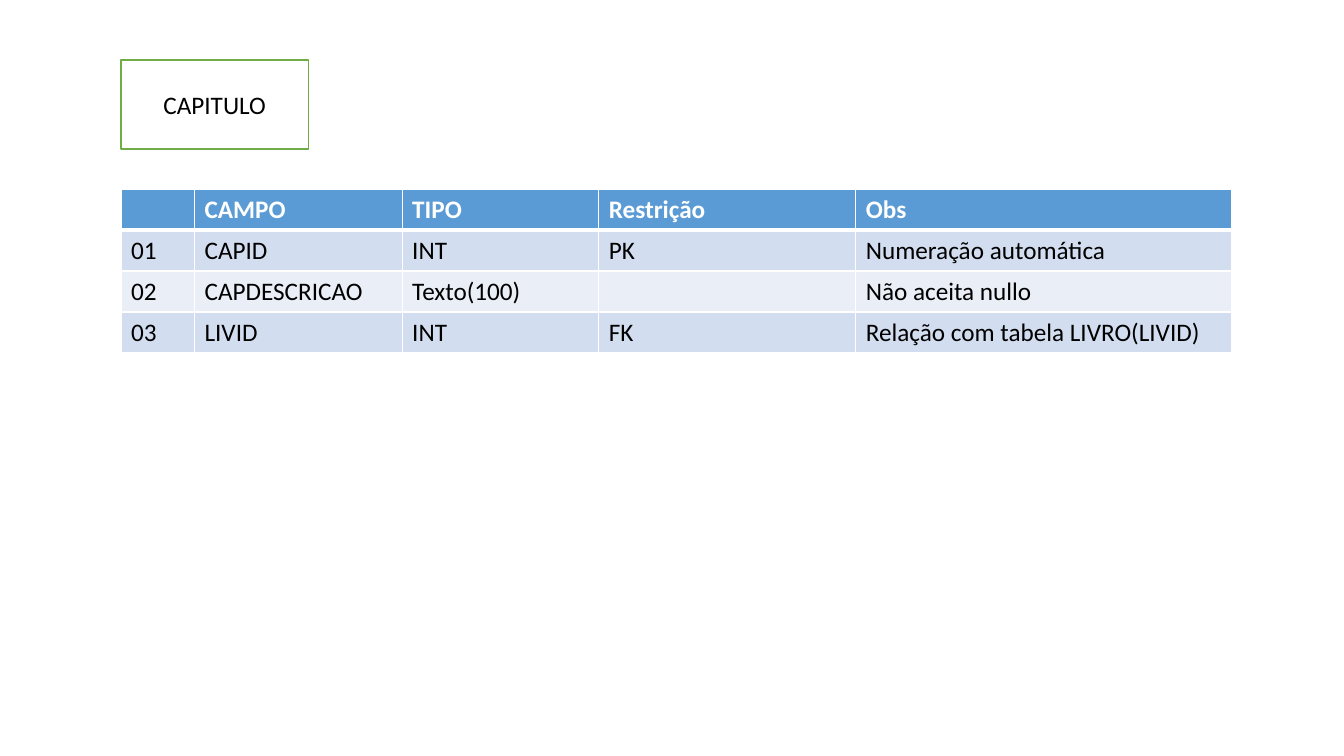
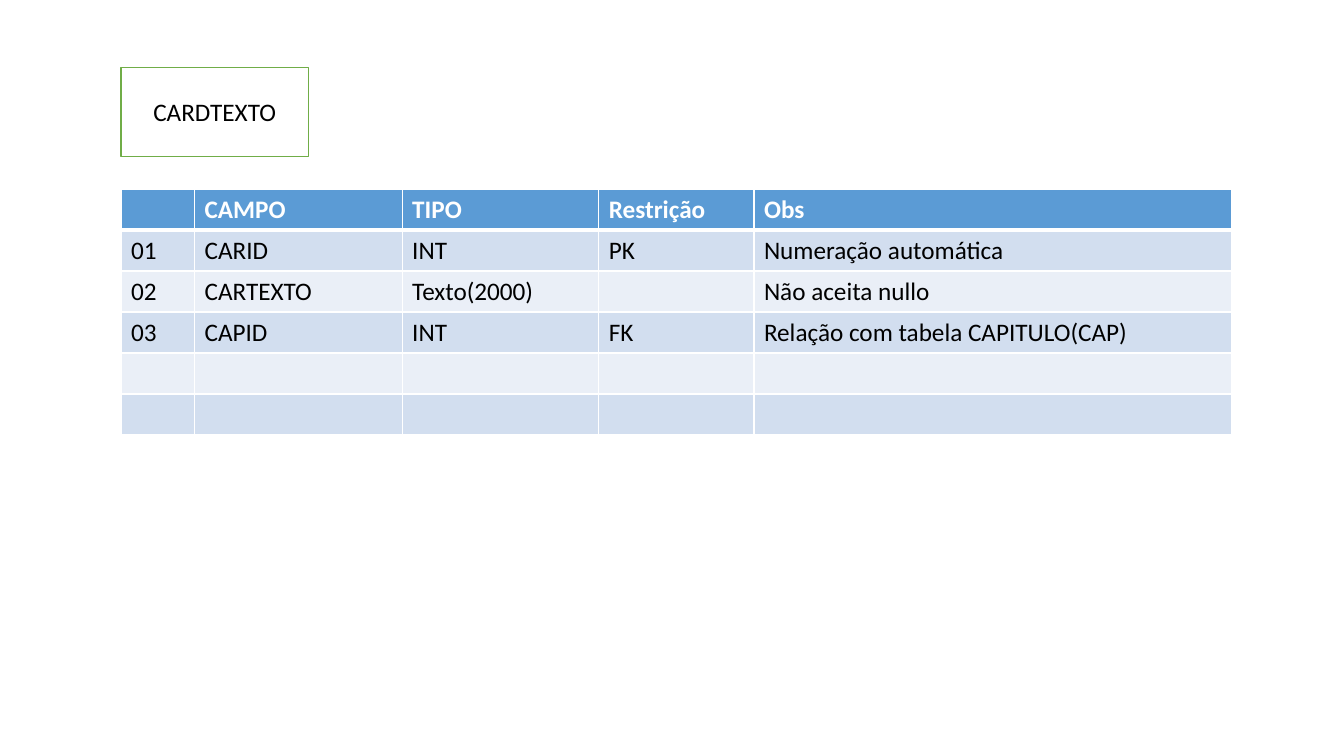
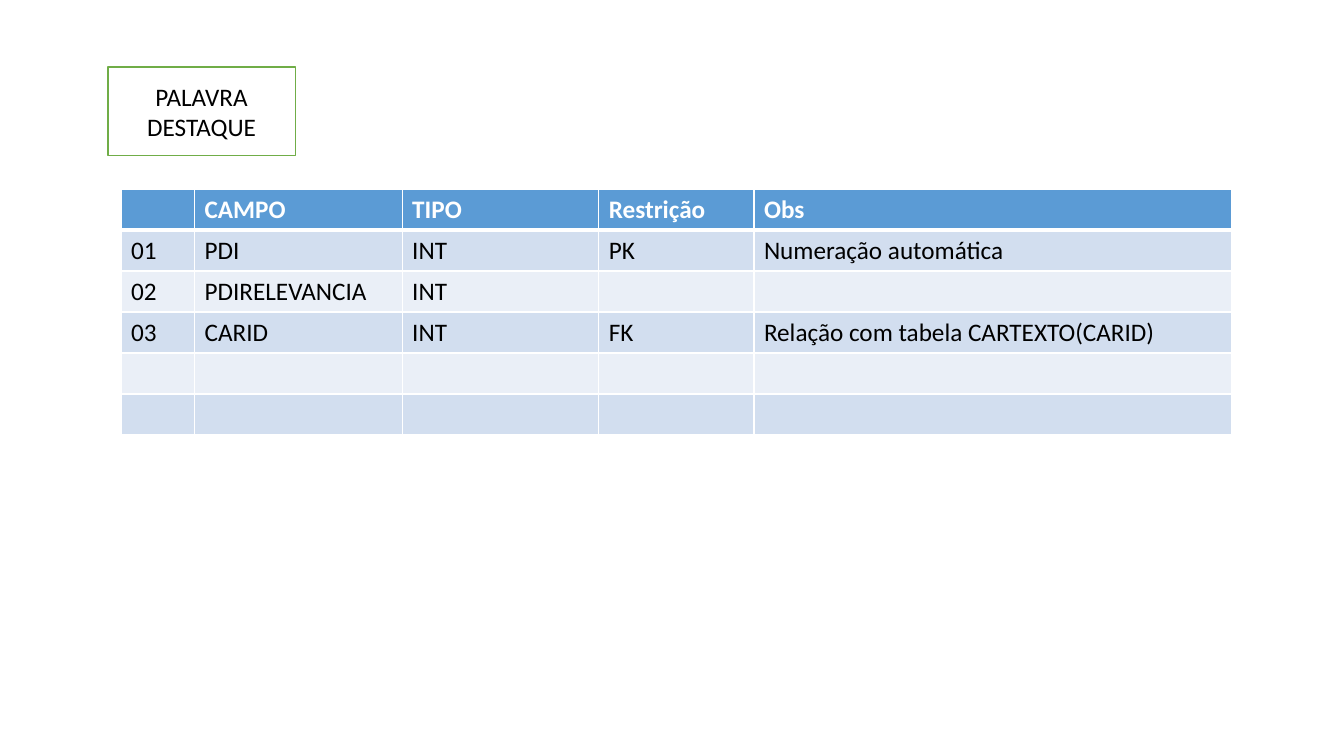
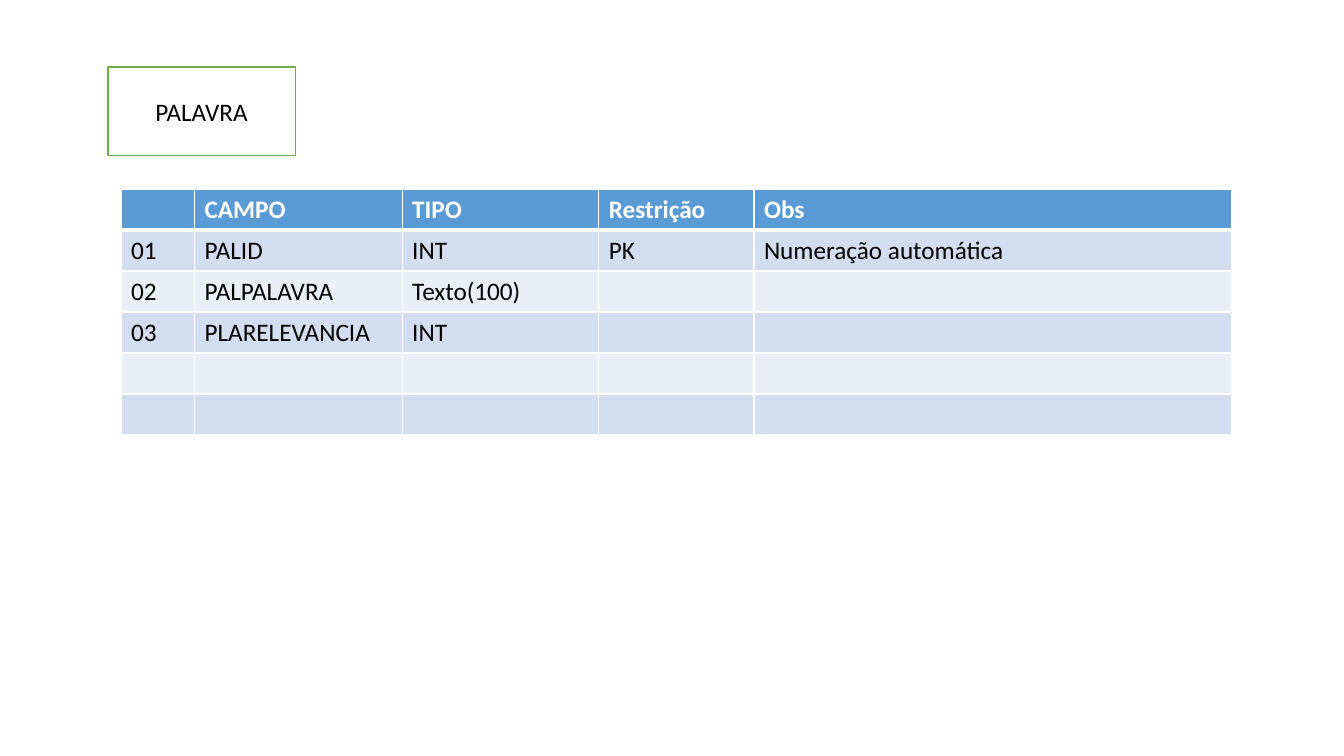
from dataclasses import dataclass

from pptx import Presentation
from pptx.dml.color import RGBColor
from pptx.enum.text import MSO_ANCHOR, MSO_AUTO_SIZE, PP_ALIGN
from pptx.oxml.ns import qn
from pptx.presentation import Presentation as Deck
from pptx.slide import Slide
from pptx.table import _Cell
from pptx.text.text import _Paragraph
from pptx.util import Emu, Pt
from lxml import etree

# Enum members
MIDDLE = MSO_ANCHOR.MIDDLE
CENTER = PP_ALIGN.CENTER
NO_AUTOFIT = MSO_AUTO_SIZE.NONE

# Shared style
WHITE = RGBColor(0xFF, 0xFF, 0xFF)
BLACK = RGBColor(0x00, 0x00, 0x00)
GREEN = RGBColor(0x70, 0xAD, 0x47)
HEADER_BLUE = RGBColor(0x5B, 0x9B, 0xD5)
BAND_COLORS = (RGBColor(0xD2, 0xDE, 0xEF), RGBColor(0xEA, 0xEF, 0xF7))
FONT = "Calibri"
FONT_SIZE = Pt(18)
THIN, THICK = Pt(1), Pt(3)

# Geometry in px, 300 to the inch
EMU_PER_PX = 3048
SLIDE_WIDTH, SLIDE_HEIGHT = 4000, 2250
TITLE_WIDTH, TITLE_HEIGHT = 558, 264
TABLE_LEFT, TABLE_TOP = 360, 563
ROW_HEIGHT = 122
WIDE_RESTRICTION = (219, 618, 585, 765, 1120)
NARROW_RESTRICTION = (219, 618, 585, 462, 1423)

TITLE_ONLY_LAYOUT = 5
HEADERS = ("", "CAMPO", "TIPO", "Restrição", "Obs")


@dataclass(frozen=True)
class Field:
    name: str
    type_name: str
    restriction: str = ""
    note: str = ""


@dataclass(frozen=True)
class Entity:
    title_lines: tuple[str, ...]
    title_left: int
    title_top: int
    fields: tuple[Field, ...]
    column_widths: tuple[int, ...] = NARROW_RESTRICTION
    empty_rows: int = 2


ENTITIES = (
    Entity(("CAPITULO",), 360, 179, (
        Field("CAPID", "INT", "PK", "Numeração automática"),
        Field("CAPDESCRICAO", "Texto(100)", note="Não aceita nullo"),
        Field("LIVID", "INT", "FK", "Relação com tabela LIVRO(LIVID)"),
    ), WIDE_RESTRICTION, empty_rows=0),
    Entity(("CARDTEXTO",), 360, 201, (
        Field("CARID", "INT", "PK", "Numeração automática"),
        Field("CARTEXTO", "Texto(2000)", note="Não aceita nullo"),
        Field("CAPID", "INT", "FK", "Relação com tabela CAPITULO(CAP)"),
    )),
    Entity(("PALAVRA", "DESTAQUE"), 321, 199, (
        Field("PDI", "INT", "PK", "Numeração automática"),
        Field("PDIRELEVANCIA", "INT"),
        Field("CARID", "INT", "FK", "Relação com tabela CARTEXTO(CARID)"),
    )),
    Entity(("PALAVRA",), 321, 199, (
        Field("PALID", "INT", "PK", "Numeração automática"),
        Field("PALPALAVRA", "Texto(100)"),
        Field("PLARELEVANCIA", "INT"),
    )),
)


def px(length: int) -> Emu:
    return Emu(length * EMU_PER_PX)


def add_text(paragraph: _Paragraph, text: str, color: RGBColor, bold: bool = False) -> None:
    run = paragraph.add_run()
    run.text = text
    run.font.name = FONT
    run.font.size = FONT_SIZE
    run.font.bold = bold
    run.font.color.rgb = color


def set_borders(cell: _Cell, top: Pt, bottom: Pt) -> None:
    properties = cell._tc.get_or_add_tcPr()
    for side, width in (("L", THIN), ("R", THIN), ("T", top), ("B", bottom)):
        line = etree.SubElement(properties, qn(f"a:ln{side}"), w=str(width))
        fill = etree.SubElement(line, qn("a:solidFill"))
        etree.SubElement(fill, qn("a:srgbClr"), val=str(WHITE))


def draw_title(slide: Slide, entity: Entity) -> None:
    title = slide.shapes.title
    title.left, title.top = px(entity.title_left), px(entity.title_top)
    title.width, title.height = px(TITLE_WIDTH), px(TITLE_HEIGHT)
    title.fill.solid()
    title.fill.fore_color.rgb = WHITE
    title.line.color.rgb = GREEN
    title.line.width = THIN
    frame = title.text_frame
    frame.auto_size = NO_AUTOFIT
    frame.word_wrap = True
    frame.vertical_anchor = MIDDLE
    for index, text in enumerate(entity.title_lines):
        paragraph = frame.add_paragraph() if index else frame.paragraphs[0]
        paragraph.alignment = CENTER
        add_text(paragraph, text, BLACK)


def draw_table(slide: Slide, entity: Entity) -> None:
    rows = [HEADERS]
    for number, field in enumerate(entity.fields, start=1):
        rows.append((f"{number:02}", field.name, field.type_name, field.restriction, field.note))
    rows += [("",) * len(HEADERS)] * entity.empty_rows

    table = slide.shapes.add_table(
        len(rows), len(HEADERS), px(TABLE_LEFT), px(TABLE_TOP),
        px(sum(entity.column_widths)), px(ROW_HEIGHT * len(rows)),
    ).table
    for column, width in zip(table.columns, entity.column_widths):
        column.width = px(width)

    for row_index, texts in enumerate(rows):
        is_header = row_index == 0
        # The thick rule separates the header from the first field
        top = THICK if row_index == 1 else THIN
        bottom = THICK if is_header else THIN
        for column_index, text in enumerate(texts):
            cell = table.cell(row_index, column_index)
            set_borders(cell, top, bottom)
            cell.fill.solid()
            cell.fill.fore_color.rgb = HEADER_BLUE if is_header else BAND_COLORS[(row_index - 1) % 2]
            if text:
                add_text(cell.text_frame.paragraphs[0], text, WHITE if is_header else BLACK, is_header)


def draw_entity(presentation: Deck, entity: Entity) -> None:
    slide = presentation.slides.add_slide(presentation.slide_layouts[TITLE_ONLY_LAYOUT])
    draw_title(slide, entity)
    draw_table(slide, entity)


def main() -> None:
    presentation = Presentation()
    presentation.slide_width = px(SLIDE_WIDTH)
    presentation.slide_height = px(SLIDE_HEIGHT)
    for entity in ENTITIES:
        draw_entity(presentation, entity)
    presentation.save("out.pptx")


if __name__ == "__main__":
    main()
